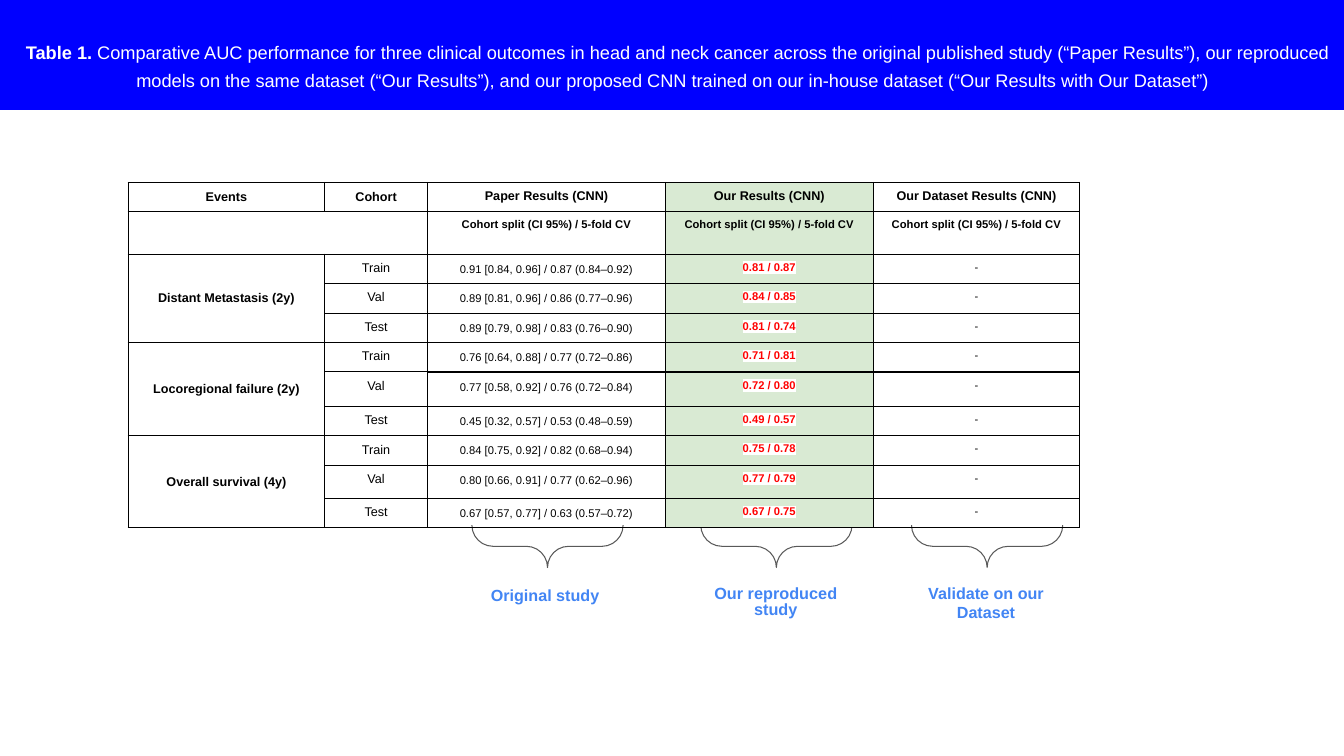
from dataclasses import dataclass

from lxml.etree import SubElement
from pptx import Presentation
from pptx.dml.color import RGBColor
from pptx.enum.shapes import MSO_SHAPE as Shape
from pptx.enum.text import MSO_ANCHOR as Anchor, MSO_AUTO_SIZE as AutoSize, PP_ALIGN as Align
from pptx.oxml.ns import qn
from pptx.slide import Slide
from pptx.util import Inches, Pt

COLUMN_WIDTHS = [1.95, 1.02, 2.36, 2.06, 2.05]
ROW_HEIGHTS = [0.29, 0.42, 0.28, 0.28, 0.28, 0.28, 0.34, 0.28, 0.28, 0.33, 0.28]
OUR_RESULTS_COLUMN = 3
HEADERS = ["Events", "Cohort", "Paper Results (CNN)", "Our Results (CNN)", "Our Dataset Results (CNN)"]
SPLIT = "Cohort split (CI 95%) / 5-fold CV"
COHORTS = ["Train", "Val", "Test"]
EVENTS = {
    "Distant Metastasis (2y)": [
        ("0.91 [0.84, 0.96] / 0.87 (0.84–0.92)", "0.81 / 0.87"),
        ("0.89 [0.81, 0.96] / 0.86 (0.77–0.96)", "0.84 / 0.85"),
        ("0.89 [0.79, 0.98] / 0.83 (0.76–0.90)", "0.81 / 0.74"),
    ],
    "Locoregional failure (2y)": [
        ("0.76 [0.64, 0.88] / 0.77 (0.72–0.86)", "0.71 / 0.81"),
        ("0.77 [0.58, 0.92] / 0.76 (0.72–0.84)", "0.72 / 0.80"),
        ("0.45 [0.32, 0.57] / 0.53 (0.48–0.59)", "0.49 / 0.57"),
    ],
    "Overall survival (4y)": [
        ("0.84 [0.75, 0.92] / 0.82 (0.68–0.94)", "0.75 / 0.78"),
        ("0.80 [0.66, 0.91] / 0.77 (0.62–0.96)", "0.77 / 0.79"),
        ("0.67 [0.57, 0.77] / 0.63 (0.57–0.72)", "0.67 / 0.75"),
    ],
}


def color(hex_string):
    return RGBColor.from_string(hex_string)


def set_margins(target, inches):
    """Give a text frame or table cell the same inset on all four sides."""
    target.margin_left = target.margin_right = Inches(inches)
    target.margin_top = target.margin_bottom = Inches(inches)


@dataclass
class SlideBuilder:
    slide: Slide
    font_name: str = "Arial"
    banner: str = "0000FF"
    white: str = "FFFFFF"
    ink: str = "000000"
    accent: str = "4285F4"
    score: str = "FF0000"
    highlight: str = "FFFFFF"
    column_tint: str = "D9EAD3"
    brace_line: str = "595959"

    def format(self, paragraph, size, hex_color, bold=False, align=Align.CENTER, spacing=1.0):
        font = paragraph.font
        font.name, font.size, font.bold = self.font_name, Pt(size), bold
        font.color.rgb = color(hex_color)
        paragraph.alignment, paragraph.line_spacing = align, spacing

    def title(self, label, text):
        title = self.slide.shapes.title
        title.left = title.top = Inches(0)
        title.width, title.height = Inches(13.33), Inches(1.09)
        title.fill.solid()
        title.fill.fore_color.rgb = color(self.banner)
        frame = title.text_frame
        frame.auto_size, frame.word_wrap = AutoSize.NONE, True
        frame.vertical_anchor = Anchor.MIDDLE
        set_margins(frame, 0.1)
        paragraph = frame.paragraphs[0]
        self.format(paragraph, 13, self.white, spacing=1.15)
        paragraph.space_before, paragraph.space_after = Pt(12), Pt(2)
        for content, size, bold in [(" ", 25, True), (label, 13, True), (text, 13, False)]:
            run = paragraph.add_run()
            run.text = content
            run.font.size, run.font.bold = Pt(size), bold

    def brace(self, center):
        """Draw a downward brace below the table, centred at the given x."""
        width, height = 0.42, 1.5
        brace = self.slide.shapes.add_shape(
            Shape.RIGHT_BRACE, Inches(center - width / 2), Inches(4.67), Inches(width), Inches(height))
        brace.rotation = 90
        brace.adjustments[0] = brace.adjustments[1] = 0.5
        brace.shadow.inherit = False
        brace.fill.background()
        brace.line.color.rgb = color(self.brace_line)
        brace.line.width = Pt(0.75)

    def label(self, text, box, size=11.5, anchor=Anchor.MIDDLE, align=Align.CENTER, spacing=1.0):
        frame = self.slide.shapes.add_textbox(*map(Inches, box)).text_frame
        frame.word_wrap, frame.vertical_anchor = True, anchor
        set_margins(frame, 0.1)
        frame.text = text
        self.format(frame.paragraphs[0], size, self.accent, True, align, spacing)

    def borders(self, cell, width):
        properties = cell._tc.get_or_add_tcPr()
        for side in ("lnL", "lnR", "lnT", "lnB"):
            line = SubElement(properties, qn(f"a:{side}"), w=str(Pt(width)))
            fill = SubElement(line, qn("a:solidFill"))
            SubElement(fill, qn("a:srgbClr"), val=self.ink)

    def highlight_runs(self, paragraph):
        for run in paragraph.runs:
            mark = SubElement(run._r.get_or_add_rPr(), qn("a:highlight"))
            SubElement(mark, qn("a:srgbClr"), val=self.highlight)

    def cell(self, cell, text, row, column):
        """Fill in one cell; its style follows from its row and column."""
        self.borders(cell, 1 if row >= 5 and column >= 2 else 0.75)
        if column == OUR_RESULTS_COLUMN:
            cell.fill.solid()
            cell.fill.fore_color.rgb = color(self.column_tint)
        else:
            cell.fill.background()
        set_margins(cell, 0.07)
        centered = column == 0 or (row == 0 and column == 1)
        cell.vertical_anchor = Anchor.MIDDLE if centered else Anchor.TOP
        cell.text = text
        paragraph = cell.text_frame.paragraphs[0]
        is_score = row >= 2 and column == OUR_RESULTS_COLUMN
        self.format(
            paragraph,
            size=9 if row == 0 or column < 2 else 8,
            hex_color=self.score if is_score else self.ink,
            bold=row < 2 or column == 0 or is_score,
            spacing=1.15 if row >= 2 and column == 2 else 1.0,
        )
        if is_score:
            self.highlight_runs(paragraph)

    def table(self, rows, left, top):
        table = self.slide.shapes.add_table(
            len(rows), len(COLUMN_WIDTHS), Inches(left), Inches(top),
            Inches(sum(COLUMN_WIDTHS)), Inches(sum(ROW_HEIGHTS))).table
        table.first_row = table.horz_banding = False
        for column, width in zip(table.columns, COLUMN_WIDTHS):
            column.width = Inches(width)
        for row, height in zip(table.rows, ROW_HEIGHTS):
            row.height = Inches(height)
        for row, values in enumerate(rows):
            for column, text in enumerate(values):
                self.cell(table.cell(row, column), text, row, column)
        table.cell(1, 0).merge(table.cell(1, 1))
        for first in range(2, len(rows), len(COHORTS)):
            table.cell(first, 0).merge(table.cell(first + len(COHORTS) - 1, 0))


def table_rows():
    rows = [HEADERS, ["", "", SPLIT, SPLIT, SPLIT]]
    for event, results in EVENTS.items():
        for index, (cohort, (paper, ours)) in enumerate(zip(COHORTS, results)):
            rows.append(["" if index else event, cohort, paper, ours, "-"])
    return rows


def main():
    presentation = Presentation()
    presentation.slide_width, presentation.slide_height = Inches(13.33), Inches(7.5)
    builder = SlideBuilder(presentation.slides.add_slide(presentation.slide_layouts[5]))
    builder.title(
        "Table 1.",
        " Comparative AUC performance for three clinical outcomes in head and neck cancer across the "
        "original published study (“Paper Results”), our reproduced models on the same dataset "
        "(“Our Results”), and our proposed CNN trained on our in-house dataset "
        "(“Our Results with Our Dataset”)")
    for center in (5.43, 7.7, 9.79):
        builder.brace(center)
    builder.label("Original study", (4.77, 5.71, 1.31, 0.42), anchor=Anchor.TOP, align=Align.LEFT)
    builder.label("Our reproduced study", (6.87, 5.71, 1.65, 0.54), size=11.6, spacing=0.8)
    builder.label("Validate on our Dataset", (9.03, 5.68, 1.5, 0.59))
    builder.table(table_rows(), left=1.27, top=1.81)
    presentation.save("out.pptx")


if __name__ == "__main__":
    main()
